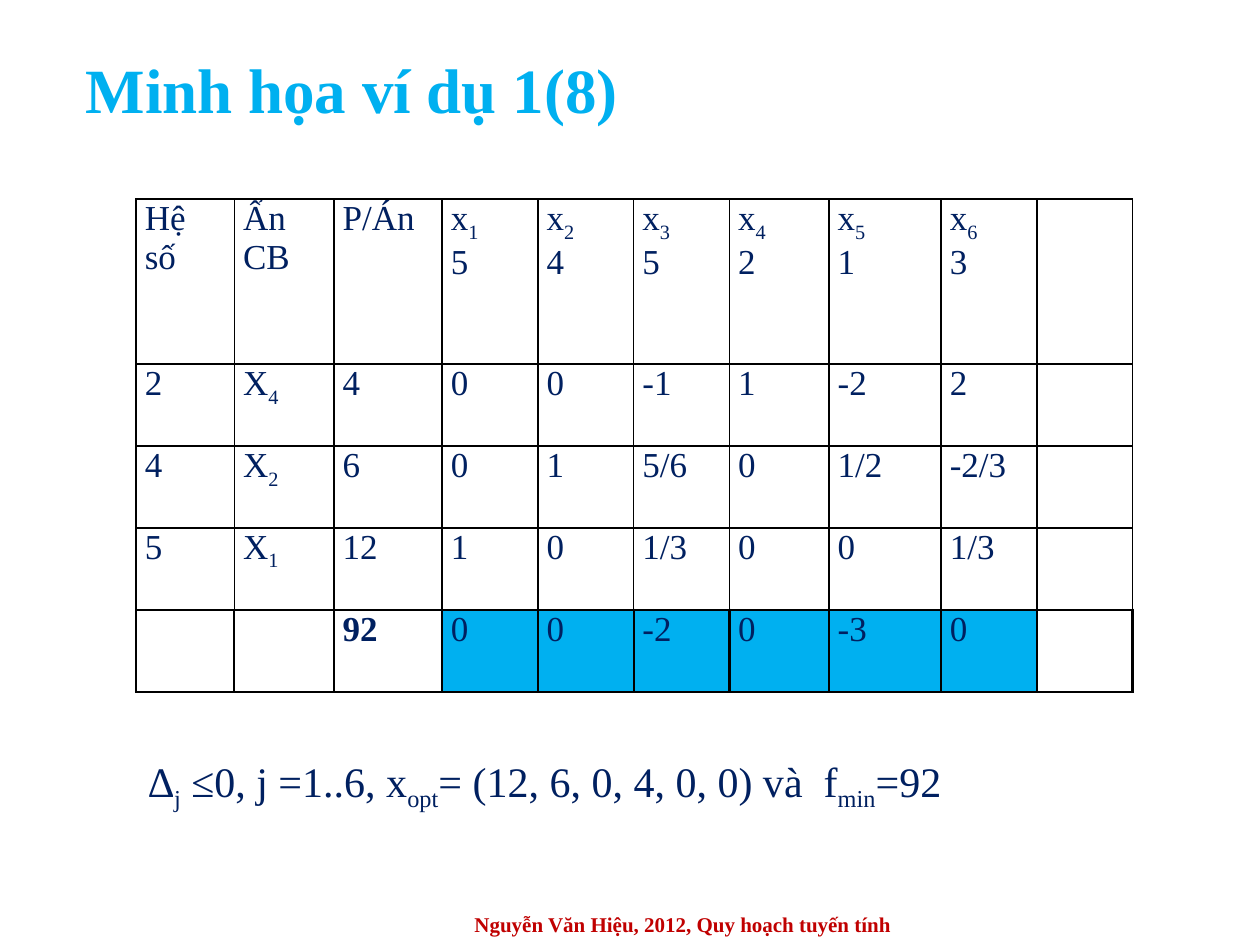
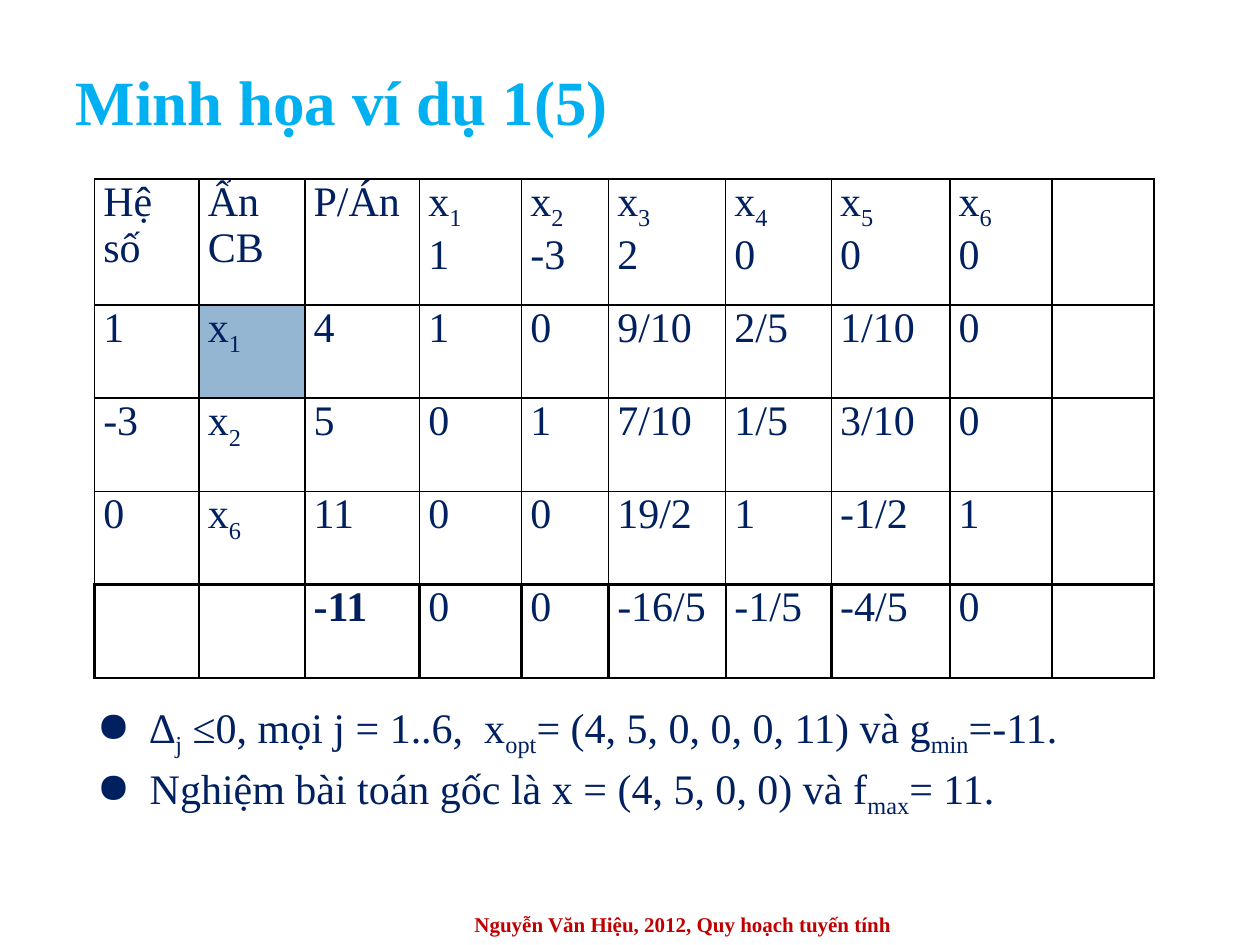
import pptx
import pptx.dml.color
import pptx.enum.text
import pptx.oxml
import pptx.oxml.ns
import pptx.util
from pptx.util import Inches

# Shared style
FONT = "Times New Roman"
SKY, NAVY, RED, STEEL, BLACK = "00B0F0", "002060", "C00000", "94B6D2", "000000"
FOOTER = "Nguyễn Văn Hiệu, 2012, Quy hoạch tuyến tính"
ALIGN = pptx.enum.text.PP_ALIGN
MIDDLE = pptx.enum.text.MSO_ANCHOR.MIDDLE


def color(value):
    return pptx.dml.color.RGBColor.from_string(value)


def xml(tag, attributes="", inner=""):
    namespace = pptx.oxml.ns.nsdecls("a")
    return pptx.oxml.parse_xml(f"<a:{tag} {namespace} {attributes}>{inner}</a:{tag}>")


def add_bullet(para):
    properties = para._p.get_or_add_pPr()
    properties.set("marL", str(Inches(0.5)))
    properties.set("indent", str(Inches(-0.42)))
    properties.append(xml("buClr", inner=f'<a:srgbClr val="{NAVY}"/>'))
    properties.append(xml("buChar", 'char="●"'))


def write(frame, text, size, ink=NAVY, bold=False, align=ALIGN.JUSTIFY, bullets=False):
    """Write one paragraph per line; parts between bars are subscripts."""
    frame.word_wrap = True
    for number, line in enumerate(text.split("\n")):
        para = frame.add_paragraph() if number else frame.paragraphs[0]
        para.alignment = align
        if bullets:
            para.space_before = pptx.util.Pt(2 if number else 0)
            add_bullet(para)
        for part, words in enumerate(line.split("|")):
            if not words:
                continue
            span = para.add_run()
            span.text = words
            span.font.name = FONT
            span.font.size = pptx.util.Pt(size)
            span.font.bold = bold
            span.font.color.rgb = color(ink)
            if part % 2:
                span.font._element.set("baseline", "-25000")


def add_text(page, place, text, size, **style):
    box = page.shapes.add_textbox(*map(Inches, place))
    box.text_frame.vertical_anchor = MIDDLE
    write(box.text_frame, text, size, **style)


def add_page(deck, title, left, top):
    page = deck.slides.add_slide(deck.slide_layouts[5])
    heading = page.shapes.title
    heading.left, heading.top = Inches(left), Inches(top)
    heading.width, heading.height = Inches(9), Inches(0.75)
    heading.text_frame.vertical_anchor = MIDDLE
    write(heading.text_frame, title, 36, ink=SKY, bold=True, align=ALIGN.LEFT)
    add_text(page, (2.92, 7.17, 5, 0.33), FOOTER, 12, ink=RED, bold=True,
             align=ALIGN.CENTER)
    return page


def set_borders(cell, widths):
    properties = cell._tc.get_or_add_tcPr()
    line = f'<a:solidFill><a:srgbClr val="{BLACK}"/></a:solidFill>'
    for position, (side, width) in enumerate(zip("LRTB", widths)):
        border = xml(f"ln{side}", f'w="{pptx.util.Pt(width)}"', line)
        properties.insert(position, border)


def add_simplex_table(page, left, top, columns, heights, rows, size, fills):
    """Draw the simplex tableau; its last row has heavier borders."""
    frame = page.shapes.add_table(len(rows), len(columns), Inches(left), Inches(top),
                                  Inches(sum(columns)), Inches(sum(heights)))
    table = frame.table
    table.first_row = table.horz_banding = False
    for column, width in zip(table.columns, columns):
        column.width = Inches(width)
    last = len(rows) - 1
    for r, texts in enumerate(rows):
        table.rows[r].height = Inches(heights[r])
        for c in range(len(columns)):
            cell = table.cell(r, c)
            cell.margin_left = cell.margin_right = Inches(0.07)
            cell.margin_top = cell.margin_bottom = 0
            if (r, c) in fills:
                cell.fill.solid()
                cell.fill.fore_color.rgb = color(fills[r, c])
            else:
                cell.fill.background()
            edge = 1.5 if r == last else 1
            set_borders(cell, (edge, edge, edge, 1.5 if r >= last - 1 else 1))
            text = texts[c] if c < len(texts) else ""
            write(cell.text_frame, text, size, bold=(r == last and c == 2))


def header(costs):
    variables = [f"x|{j}|\n{cost}" for j, cost in enumerate(costs, 1)]
    return ["Hệ số", "Ẩn CB", "P/Án"] + variables


def main():
    deck = pptx.Presentation()
    deck.slide_width, deck.slide_height = Inches(10), Inches(7.5)

    # Example 1, step 8
    page = add_page(deck, "Minh họa ví dụ 1(8)", 0.58, 0.33)
    rows = [
        header([5, 4, 5, 2, 1, 3]),
        ["2", "X|4|", "4", "0", "0", "-1", "1", "-2", "2"],
        ["4", "X|2|", "6", "0", "1", "5/6", "0", "1/2", "-2/3"],
        ["5", "X|1|", "12", "1", "0", "1/3", "0", "0", "1/3"],
        ["", "", "92", "0", "0", "-2", "0", "-3", "0"],
    ]
    columns = [0.78, 0.79, 0.86, 0.76, 0.76, 0.76, 0.79, 0.89, 0.76, 0.76]
    add_simplex_table(page, 1.08, 1.58, columns, [1.31] + [0.65] * 4, rows, 20,
                      {(4, c): SKY for c in range(3, 9)})
    add_text(page, (1.08, 5.97, 8.17, 0.5),
             "∆|j| ≤0, j =1..6, x|opt|= (12, 6, 0, 4, 0, 0) và  f|min|=92", 24)

    # Example 1, step 5
    page = add_page(deck, "Minh họa ví dụ 1(5)", 0.5, 0.42)
    rows = [
        header([1, -3, 2, 0, 0, 0]),
        ["1", "x|1|", "4", "1", "0", "9/10", "2/5", "1/10", "0"],
        ["-3", "x|2|", "5", "0", "1", "7/10", "1/5", "3/10", "0"],
        ["0", "x|6|", "11", "0", "0", "19/2", "1", "-1/2", "1"],
        ["", "", "-11", "0", "0", "-16/5", "-1/5", "-4/5", "0"],
    ]
    columns = [0.83, 0.84, 0.91, 0.81, 0.69, 0.93, 0.84, 0.94, 0.81, 0.81]
    add_simplex_table(page, 0.75, 1.42, columns, [1] + [0.74] * 4, rows, 24,
                      {(1, 1): STEEL})
    add_text(page, (0.59, 5.58, 8.74, 0.91),
             "∆|j| ≤0, mọi j = 1..6,  x|opt|= (4, 5, 0, 0, 0, 11) và g|min|=-11.\n"
             "Nghiệm bài toán gốc là x = (4, 5, 0, 0) và f|max|= 11.", 24, bullets=True)

    deck.save("out.pptx")


if __name__ == "__main__":
    main()
